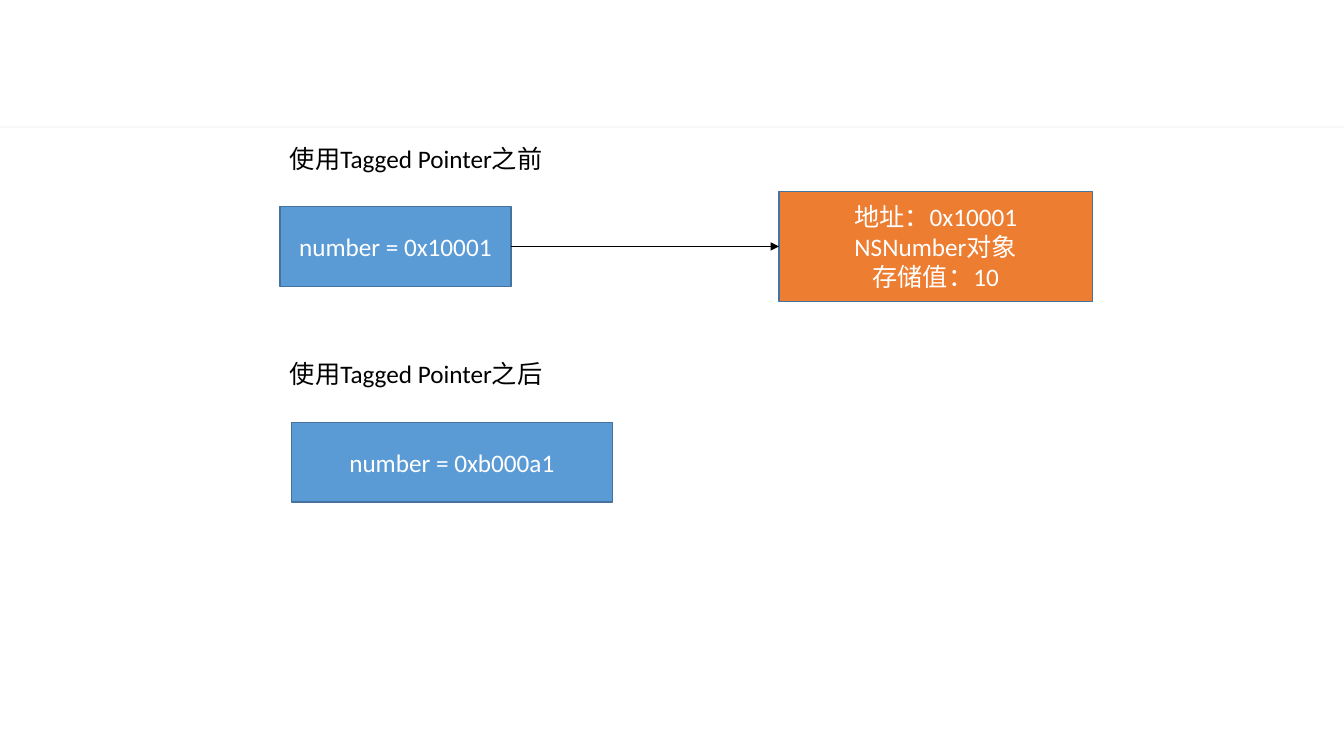
from lxml.etree import SubElement
from pptx import Presentation
from pptx.dml.color import RGBColor
from pptx.enum.shapes import MSO_CONNECTOR, MSO_SHAPE
from pptx.enum.text import MSO_ANCHOR, PP_ALIGN
from pptx.oxml.ns import qn
from pptx.util import Pt

COLORS = {
    "pointer": "5B9BD5",
    "object": "ED7D31",
    "border": "43739E",
    "band": "EAEAEA",
    "light": "FFFFFF",
    "dark": "000000",
}
LABEL_WIDTH, LABEL_HEIGHT = 196.56, 28.8
POINTER_OFFSET, POINTER_HEIGHT = 48.96, 56.88
OBJECT_WIDTH, OBJECT_HEIGHT = 223.92, 78.48


def color(name):
    """Return the named palette colour."""
    return RGBColor.from_string(COLORS[name])


def write_lines(frame, lines, ink, align):
    """Write one paragraph per line into a text frame."""
    frame.word_wrap = True
    for index, line in enumerate(lines):
        paragraph = frame.paragraphs[0] if index == 0 else frame.add_paragraph()
        paragraph.alignment = align
        run = paragraph.add_run()
        run.text = line
        run.font.name = "Calibri"
        run.font.size = Pt(18)
        run.font.color.rgb = color(ink)


def add_block(slide, left, top, width, height, fill):
    """Add a flat filled rectangle."""
    block = slide.shapes.add_shape(
        MSO_SHAPE.RECTANGLE, Pt(left), Pt(top), Pt(width), Pt(height))
    block.shadow.inherit = False
    block.fill.solid()
    block.fill.fore_color.rgb = color(fill)
    return block


def add_memory_cell(slide, left, top, width, height, fill, lines):
    """Add a bordered rectangle with centred text."""
    cell = add_block(slide, left, top, width, height, fill)
    cell.line.color.rgb = color("border")
    cell.line.width = Pt(1)
    cell.text_frame.vertical_anchor = MSO_ANCHOR.MIDDLE
    write_lines(cell.text_frame, lines, "light", PP_ALIGN.CENTER)
    return cell


def add_header_band(slide, left, top, width, height):
    """Add the thin translucent rule under the header area."""
    band = add_block(slide, left, top, width, height, "band")
    band.line.fill.background()
    fill_color = band.fill._xPr.find(qn("a:solidFill"))[0]
    SubElement(fill_color, qn("a:alpha"), val="32000")


def add_reference(slide, pointer, target):
    """Draw the arrow from a pointer to the object it refers to."""
    arrow = slide.shapes.add_connector(MSO_CONNECTOR.STRAIGHT, 0, 0, 0, 0)
    arrow.begin_connect(pointer, 3)
    arrow.end_connect(target, 1)
    arrow.line.color.rgb = color("dark")
    arrow.line.width = Pt(0.5)
    SubElement(arrow.line._get_or_add_ln(), qn("a:tailEnd"), type="triangle")
    SubElement(arrow._element.spPr, qn("a:effectLst"))


def add_stage(slide, left, top, label, pointer_indent, pointer_width, value):
    """Add a label with its pointer cell below and return the cell."""
    caption = slide.shapes.add_textbox(
        Pt(left), Pt(top), Pt(LABEL_WIDTH), Pt(LABEL_HEIGHT))
    write_lines(caption.text_frame, [label], "dark", PP_ALIGN.LEFT)
    return add_memory_cell(
        slide, left + pointer_indent, top + POINTER_OFFSET,
        pointer_width, POINTER_HEIGHT, "pointer", [value])


def add_before(slide, left, top):
    """Add the pointer that refers to a separate number object."""
    pointer = add_stage(
        slide, left, top, "使用Tagged Pointer之前", 0, 164.88, "number = 0x10001")
    object_top = top + POINTER_OFFSET + (POINTER_HEIGHT - OBJECT_HEIGHT) / 2
    target = add_memory_cell(
        slide, left + 356.4, object_top, OBJECT_WIDTH, OBJECT_HEIGHT, "object",
        ["地址：0x10001", "NSNumber对象", "存储值：10"])
    add_reference(slide, pointer, target)


def add_after(slide, left, top):
    """Add the pointer that holds the value itself."""
    add_stage(
        slide, left, top, "使用Tagged Pointer之后", 8.2, 229.2, "number = 0xb000a1")


def main():
    """Build and save the slide."""
    deck = Presentation()
    deck.slide_width, deck.slide_height = Pt(960), Pt(540)
    slide = deck.slides.add_slide(deck.slide_layouts[6])
    add_header_band(slide, -0.72, 90, 960.72, 1.44)
    add_before(slide, 200, 98.64)
    add_after(slide, 200, 252.72)
    deck.save("out.pptx")


if __name__ == "__main__":
    main()
